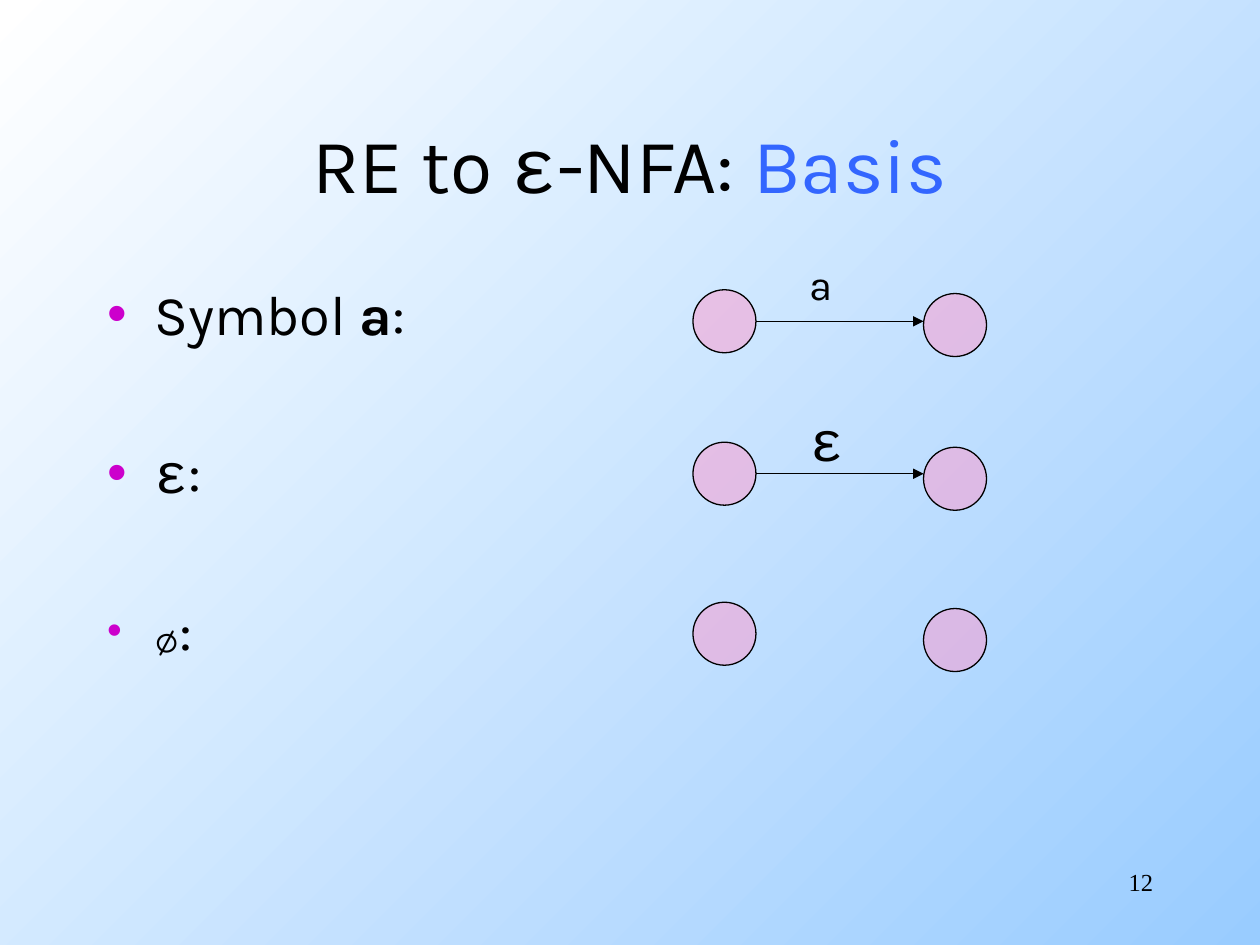
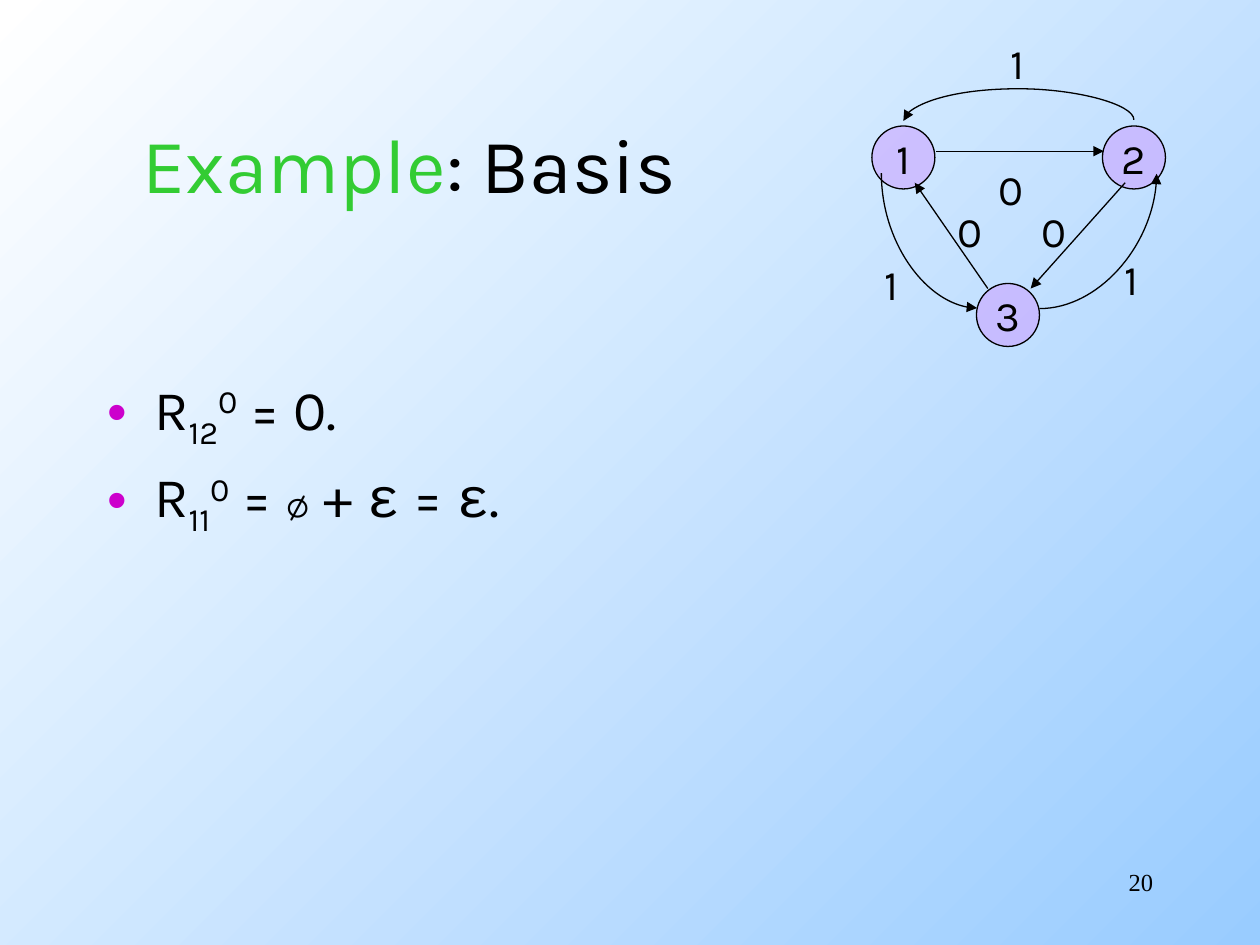
"""Build two automata slides: the basis of RE to ε-NFA and a worked example."""
from lxml import etree
from pptx import Presentation, util as u
from pptx.dml import color
from pptx.enum import shapes, text
from pptx.oxml import ns

BLACK, BLUE, GREEN, MAGENTA = "000000", "3366FF", "33CC33", "CC00CC"
PINK, VIOLET = "FF99CC", "CC99FF"
BODY, MATH, SERIF = "Karla", "Courier New", "Times New Roman"
NODE = 0.5


def rgb(value):
    return color.RGBColor.from_string(value)


def write(p, words, size=32, font=BODY, fill=BLACK, bold=False, base=0):
    r = p.add_run()
    r.text = words
    r.font.size, r.font.name, r.font.bold = u.Pt(size), font, bold
    r.font.color.rgb = rgb(fill)
    if base:
        r.font._element.set("baseline", str(base * 1000))


math = dict(font=MATH)
empty = dict(font=MATH, size=24)
sub, sup = dict(base=-25), dict(base=30)

basis = dict(
    number="12", title_width=8.5, body_top=2.17, gap=52, node_fill=PINK,
    title=[("RE to ", {}), ("ε", math), ("-NFA: ", {}), ("Basis", dict(fill=BLUE))],
    items=[
        [("Symbol ", {}), ("a", dict(bold=True)), (":", {})],
        [("ε", math), (":", {})],
        [("∅", empty), (":", {})],
    ],
    nodes=[(x, y + dy, "") for y, drop in ((2.3, 0.03), (3.51, 0.04), (4.78, 0.05))
           for x, dy in ((5.5, 0), (7.33, drop))],
    arrows=[(6, y, 7.33, y) for y in (2.55, 3.76)],
    curves=[],
    labels=[(6.33, 2, "a", dict(size=24)), (6.33, 3.17, "ε", math)],
)

example = dict(
    number="20", title_width=5, body_top=2.92, gap=None, node_fill=VIOLET,
    title=[("Example", dict(fill=GREEN)), (": Basis", {})],
    items=[
        [("R", {}), ("12", sub), ("0", sup), (" = 0.", {})],
        [("R", {}), ("11", sub), ("0", sup), (" = ", {}), ("∅", empty), (" + ", {}),
         ("ε", math), (" = ", {}), ("ε", math), (".", {})],
    ],
    nodes=[(6.92, 1, "1"), (7.75, 2.25, "3"), (8.75, 1, "2")],
    arrows=[(7.43, 1.2, 8.76, 1.2), (8.93, 1.45, 8.18, 2.29), (7.84, 2.29, 7.26, 1.45)],
    curves=[
        (8.08, 0.04, 0.01, 1.83, 270, "HV", "curvedConnector3", -2500),
        (6.84, 1.53, 1.07, 0.76, 270, "H", "curvedConnector2", None),
        (8.25, 1.38, 0.93, 1.07, 0, "V", "curvedConnector2", None),
    ],
    labels=[(x, y, digit, dict(size=24)) for x, y, digit in (
        (7.83, 1.25, "0"), (8.17, 1.58, "0"), (7.5, 1.58, "0"),
        (7.92, 0.25, "1"), (6.92, 2, "1"), (8.83, 1.96, "1"))],
)

prs = Presentation()
prs.slide_width, prs.slide_height = u.Inches(10), u.Inches(7.5)

bg = prs.slide_master.background.fill
bg.gradient()
bg.gradient_angle = 315
for stop, position, value in zip(bg.gradient_stops, (0, 1), ("FFFFFF", "99CCFF")):
    stop.position = position
    stop.color.rgb = rgb(value)

for page in (basis, example):
    s = prs.slides.add_slide(prs.slide_layouts[1])
    title, body = s.placeholders
    top = page["body_top"]
    for sp, box in ((title, (0.75, 0.67, page["title_width"], 1.25)),
                    (body, (0.75, top, 8.5, 6.67 - top))):
        sp.left, sp.top, sp.width, sp.height = map(u.Inches, box)
        sp.text_frame.auto_size = text.MSO_AUTO_SIZE.NONE

    title.text_frame.vertical_anchor = text.MSO_ANCHOR.MIDDLE
    p = title.text_frame.paragraphs[0]
    p.alignment = text.PP_ALIGN.CENTER
    for words, style in page["title"]:
        write(p, words, **{"size": 44, **style})

    tf = body.text_frame
    for i, item in enumerate(page["items"]):
        p = tf.add_paragraph() if i else tf.paragraphs[0]
        if i and page["gap"]:
            p.space_before = u.Pt(page["gap"])
        bullet = etree.SubElement(p._p.get_or_add_pPr(), ns.qn("a:buClr"))
        etree.SubElement(bullet, ns.qn("a:srgbClr"), val=MAGENTA)
        for words, style in item:
            write(p, words, **style)

    sp = s.shapes.add_textbox(*map(u.Inches, (7.17, 6.83, 2.08, 0.5)))
    sp.text_frame.word_wrap = True
    p = sp.text_frame.paragraphs[0]
    p.alignment = text.PP_ALIGN.RIGHT
    write(p, page["number"], size=14, font=SERIF)

    for x, y, name in page["nodes"]:
        sp = s.shapes.add_shape(shapes.MSO_SHAPE.OVAL, *map(u.Inches, (x, y, NODE, NODE)))
        sp.shadow.inherit = False
        sp.fill.solid()
        sp.fill.fore_color.rgb = rgb(page["node_fill"])
        tint = sp.element.spPr.find(ns.qn("a:solidFill"))[0]
        etree.SubElement(tint, ns.qn("a:alpha"), val="50000")
        sp.line.color.rgb = rgb(BLACK)
        sp.line.width = u.Pt(0.75)
        if name:
            tf = sp.text_frame
            tf.word_wrap = False
            tf.vertical_anchor = text.MSO_ANCHOR.MIDDLE
            tf.paragraphs[0].alignment = text.PP_ALIGN.CENTER
            write(tf.paragraphs[0], name, size=24)

    lines = [s.shapes.add_connector(shapes.MSO_CONNECTOR.STRAIGHT, *map(u.Inches, ends))
             for ends in page["arrows"]]
    for x, y, w, h, turn, flips, preset, bend in page["curves"]:
        cn = s.shapes.add_connector(shapes.MSO_CONNECTOR.CURVE,
                                    *map(u.Inches, (x, y, x + w, y + h)))
        xfrm = cn.element.spPr.find(ns.qn("a:xfrm"))
        xfrm.set("rot", str(turn * 60000))
        for axis in flips:
            xfrm.set("flip" + axis, "1")
        geom = cn.element.spPr.find(ns.qn("a:prstGeom"))
        geom.set("prst", preset)
        if bend:
            etree.SubElement(geom.find(ns.qn("a:avLst")), ns.qn("a:gd"),
                             name="adj1", fmla=f"val {bend * 1000}")
        lines.append(cn)
    for cn in lines:
        cn.line.color.rgb = rgb(BLACK)
        cn.line.width = u.Pt(0.75)
        ln = cn.element.spPr.find(ns.qn("a:ln"))
        etree.SubElement(ln, ns.qn("a:tailEnd"), type="triangle")
        etree.SubElement(cn.element.spPr, ns.qn("a:effectLst"))

    for x, y, label, style in page["labels"]:
        sp = s.shapes.add_textbox(*map(u.Inches, (x, y, 0.39, 0.51)))
        sp.text_frame.word_wrap = False
        sp.text_frame.auto_size = text.MSO_AUTO_SIZE.SHAPE_TO_FIT_TEXT
        write(sp.text_frame.paragraphs[0], label, **style)

prs.save("out.pptx")
